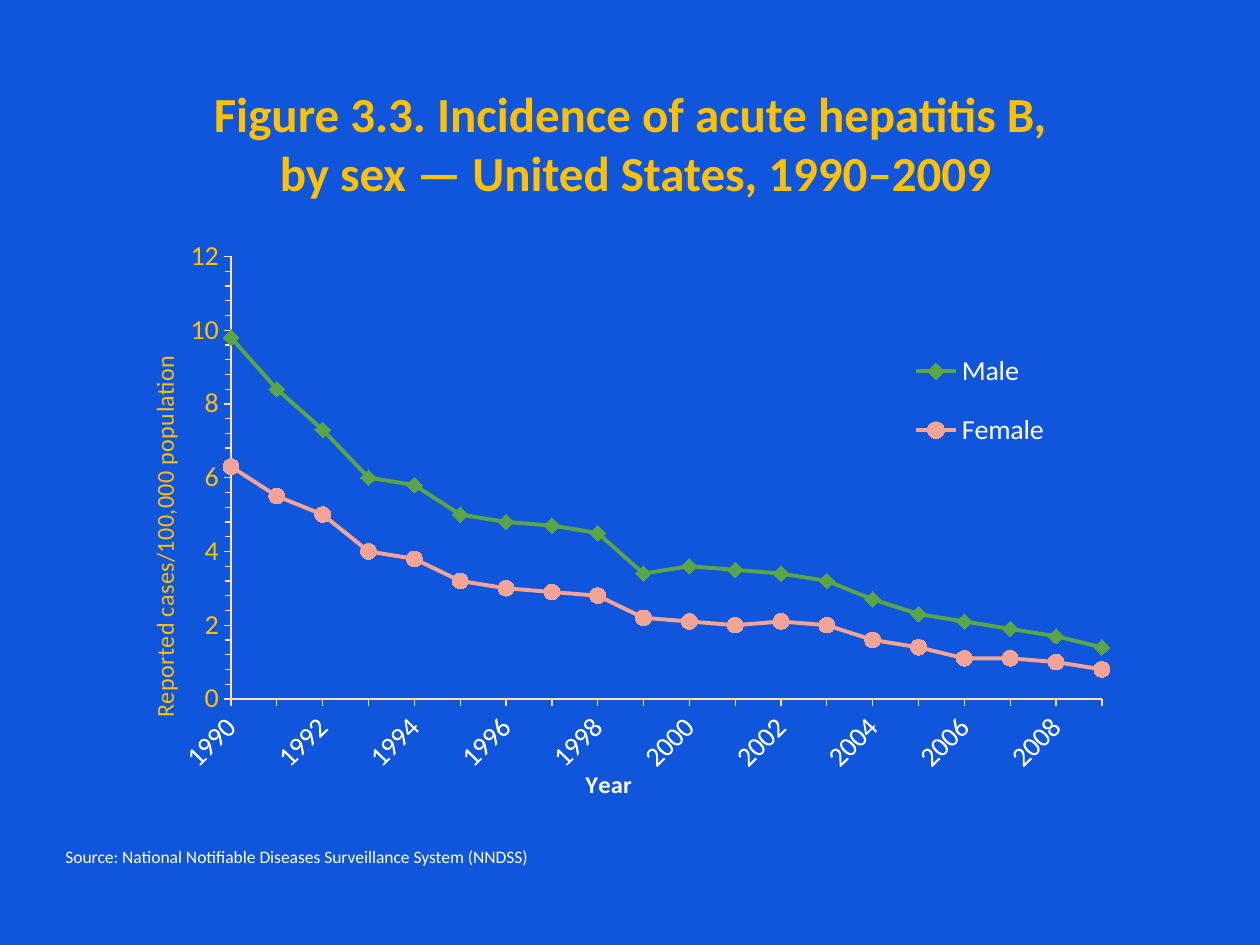
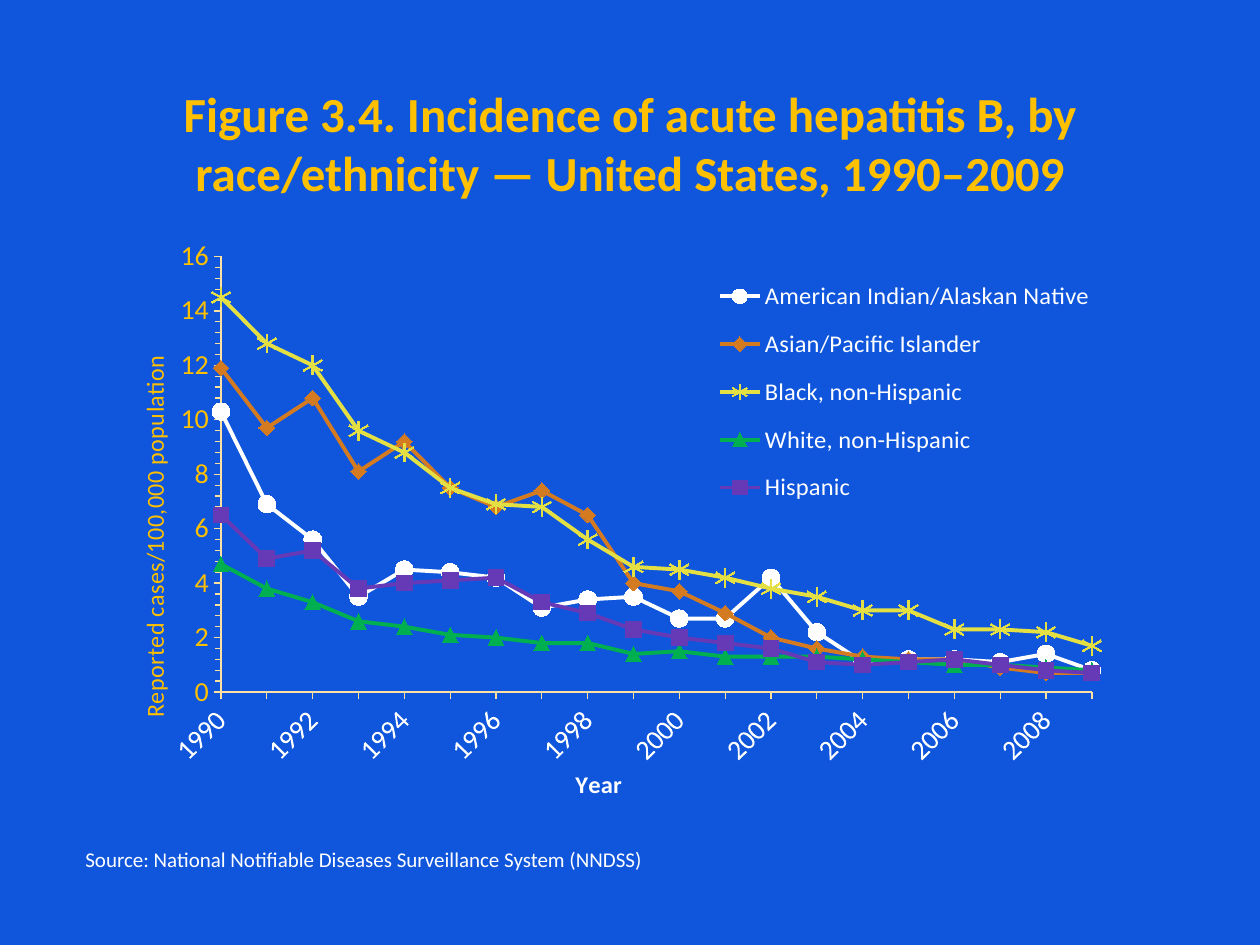
from pptx import Presentation
from pptx.chart.data import CategoryChartData as Data
from pptx.dml.color import RGBColor as RGB
from pptx.enum.chart import XL_CHART_TYPE as Kind, XL_LEGEND_POSITION as Side
from pptx.enum.chart import XL_MARKER_STYLE as Mark, XL_TICK_MARK as Tick
from pptx.enum.text import MSO_ANCHOR as Anchor, PP_ALIGN as Align
from pptx.oxml import parse_xml
from pptx.oxml.ns import nsdecls, qn
from pptx.util import Pt

SCALE = 914400 / 126
FACE = "Calibri"
BLUE = RGB(0x0F, 0x56, 0xDC)
GOLD = RGB(0xFF, 0xC0, 0x00)
SAND = RGB(0xFF, 0xE0, 0xA0)
WHITE = RGB(0xFF, 0xFF, 0xFF)
LEAF = RGB(0x5A, 0xA5, 0x45)
PINK = RGB(0xF2, 0xA5, 0x96)
RUST = RGB(0xD4, 0x7B, 0x22)
LEMON = RGB(0xE4, 0xE0, 0x44)
GREEN = RGB(0x00, 0xB0, 0x50)
PLUM = RGB(0x66, 0x39, 0xB7)

WIDE, HIGH = 1008, 576
TOP = 231
SOURCE = "Source: National Notifiable Diseases Surveillance System (NNDSS)"
YEARS = [str(year) for year in range(1990, 2010)]

FIGURES = [
    dict(
        title="Figure 3.3. Incidence of acute hepatitis B,\v by sex — United States, 1990–2009",
        left=126, peak=12, plot=451, legend=(779, 100, 150, 146), key=16,
        note=(53, 840, 987, 34), small=10,
        lines=[
            ("Male", LEAF, Mark.DIAMOND, 9,
             [9.8, 8.4, 7.3, 6, 5.8, 5, 4.8, 4.7, 4.5, 3.4,
              3.6, 3.5, 3.4, 3.2, 2.7, 2.3, 2.1, 1.9, 1.7, 1.4]),
            ("Female", PINK, Mark.CIRCLE, 9,
             [6.3, 5.5, 5, 4, 3.8, 3.2, 3, 2.9, 2.8, 2.2,
              2.1, 2, 2.1, 2, 1.6, 1.4, 1.1, 1.1, 1, 0.8]),
        ]),
    dict(
        title="Figure 3.4. Incidence of acute hepatitis B, by race/ethnicity — United States, 1990–2009",
        left=116, peak=16, plot=444, legend=(594, 33, 390, 262), key=14,
        note=(73, 840, 1071, 38), small=12,
        lines=[
            ("American Indian/Alaskan Native", WHITE, Mark.CIRCLE, 10,
             [10.3, 6.9, 5.6, 3.5, 4.5, 4.4, 4.2, 3.1, 3.4, 3.5,
              2.7, 2.7, 4.2, 2.2, 1.1, 1.2, 1.2, 1.1, 1.4, 0.8]),
            ("Asian/Pacific Islander", RUST, Mark.DIAMOND, 9,
             [11.9, 9.7, 10.8, 8.1, 9.2, 7.5, 6.8, 7.4, 6.5, 4,
              3.7, 2.9, 2, 1.6, 1.3, 1.2, 1.2, 0.9, 0.7, 0.7]),
            ("Black, non-Hispanic", LEMON, Mark.STAR, 11,
             [14.5, 12.8, 12, 9.6, 8.8, 7.5, 6.9, 6.8, 5.6, 4.6,
              4.5, 4.2, 3.8, 3.5, 3, 3, 2.3, 2.3, 2.2, 1.7]),
            ("White, non-Hispanic", GREEN, Mark.TRIANGLE, 9,
             [4.7, 3.8, 3.3, 2.6, 2.4, 2.1, 2, 1.8, 1.8, 1.4,
              1.5, 1.3, 1.3, 1.3, 1.2, 1.1, 1, 1, 0.9, 0.8]),
            ("Hispanic", PLUM, Mark.SQUARE, 9,
             [6.5, 4.9, 5.2, 3.8, 4, 4.1, 4.2, 3.3, 2.9, 2.3,
              2, 1.8, 1.6, 1.1, 1, 1.1, 1.2, 1, 0.8, 0.7]),
        ]),
]


def write(slide, text, box, size, color, bold=False):
    frame = slide.shapes.add_textbox(*[round(n * SCALE) for n in box]).text_frame
    frame.word_wrap = True
    frame.text = text
    for run in frame.paragraphs[0].runs:
        font = run.font
        font.name, font.size, font.bold = FACE, Pt(size), bold
        font.color.rgb = color
    return frame


def place(node, spot, box, inner=False):
    for old in node.findall(qn("c:layout")):
        node.remove(old)
    tags = '<c:layoutTarget val="inner"/>' if inner else ""
    tags += '<c:xMode val="edge"/><c:yMode val="edge"/>'
    for tag, size, full in zip("xywh", box, (WIDE, HIGH, WIDE, HIGH)):
        tags += f'<c:{tag} val="{size / full}"/>'
    node.insert(spot, parse_xml(
        f'<c:layout {nsdecls("c")}><c:manualLayout>{tags}</c:manualLayout></c:layout>'))


deck = Presentation()
deck.slide_width = round(1260 * SCALE)
deck.slide_height = round(945 * SCALE)

for fig in FIGURES:
    slide = deck.slides.add_slide(deck.slide_layouts[6])
    slide.background.fill.solid()
    slide.background.fill.fore_color.rgb = BLUE

    head = write(slide, fig["title"], (63, 73, 1134, 147), 28, GOLD, True)
    head.vertical_anchor = Anchor.MIDDLE
    head.margin_bottom = round(15 * SCALE)
    head.paragraphs[0].alignment = Align.CENTER

    data = Data()
    data.categories = YEARS
    for name, color, mark, size, vals in fig["lines"]:
        data.add_series(name, vals)
    box = [round(n * SCALE) for n in (fig["left"], TOP, WIDE, HIGH)]
    chart = slide.shapes.add_chart(Kind.LINE_MARKERS, *box, data).chart
    chart.has_title = False
    chart.font.name, chart.font.size = FACE, Pt(18)
    chart.font.color.rgb = GOLD
    chart.plots[0].vary_by_categories = False

    for line, (name, color, mark, size, vals) in zip(chart.plots[0].series, fig["lines"]):
        line.smooth = False
        line.format.line.width = Pt(2.25)
        line.format.line.color.rgb = color
        line.marker.style, line.marker.size = mark, size
        line.marker.format.fill.solid()
        line.marker.format.fill.fore_color.rgb = color
        line.marker.format.line.color.rgb = color

    cat, val = chart.category_axis, chart.value_axis
    for axis, text, color, bold, turn, spot in (
            (cat, "Year", WHITE, True, 0, (455, 542)),
            (val, "Reported cases/100,000 population", GOLD, False, -5400000, (17, 129))):
        axis.has_major_gridlines = axis.has_minor_gridlines = False
        axis.major_tick_mark = Tick.OUTSIDE
        axis.format.line.color.rgb = SAND
        axis.format.line.width = Pt(0.75)
        font = axis.tick_labels.font
        font.name, font.size = FACE, Pt(16)
        font.color.rgb = color
        frame = axis.axis_title.text_frame
        frame.text = text
        font = frame.paragraphs[0].runs[0].font
        font.name, font.size, font.bold = FACE, Pt(14), bold
        font.color.rgb = color
        title = axis.axis_title.element
        body = title.xpath(".//a:bodyPr")[0]
        body.set("rot", str(turn))
        body.set("vert", "horz")
        place(title, 1, spot)

    base = chart.element.xpath(".//c:catAx")[0]
    base.xpath("c:txPr/a:bodyPr")[0].set("rot", "-2700000")
    last = base.find(qn("c:noMultiLvlLbl"))
    for tag, step in (("tickLblSkip", 2), ("tickMarkSkip", 1)):
        last.addprevious(parse_xml(f'<c:{tag} {nsdecls("c")} val="{step}"/>'))

    side = chart.element.xpath(".//c:valAx")[0]
    for old in side.findall(qn("c:crossBetween")):
        side.remove(old)
    side.find(qn("c:crosses")).addnext(
        parse_xml(f'<c:crossBetween {nsdecls("c")} val="midCat"/>'))
    val.minimum_scale, val.maximum_scale = 0, fig["peak"]
    val.major_unit, val.minor_unit = 2, 0.4
    val.minor_tick_mark = Tick.OUTSIDE

    chart.has_legend = True
    chart.legend.position = Side.RIGHT
    chart.legend.include_in_layout = False
    font = chart.legend.font
    font.name, font.size = FACE, Pt(fig["key"])
    font.color.rgb = WHITE
    place(chart.element.xpath("c:chart/c:legend")[0], 1, fig["legend"])
    place(chart.element.xpath("c:chart/c:plotArea")[0], 0, (105, 26, 871, fig["plot"]), True)

    write(slide, SOURCE, fig["note"], fig["small"], WHITE)

deck.save("out.pptx")
